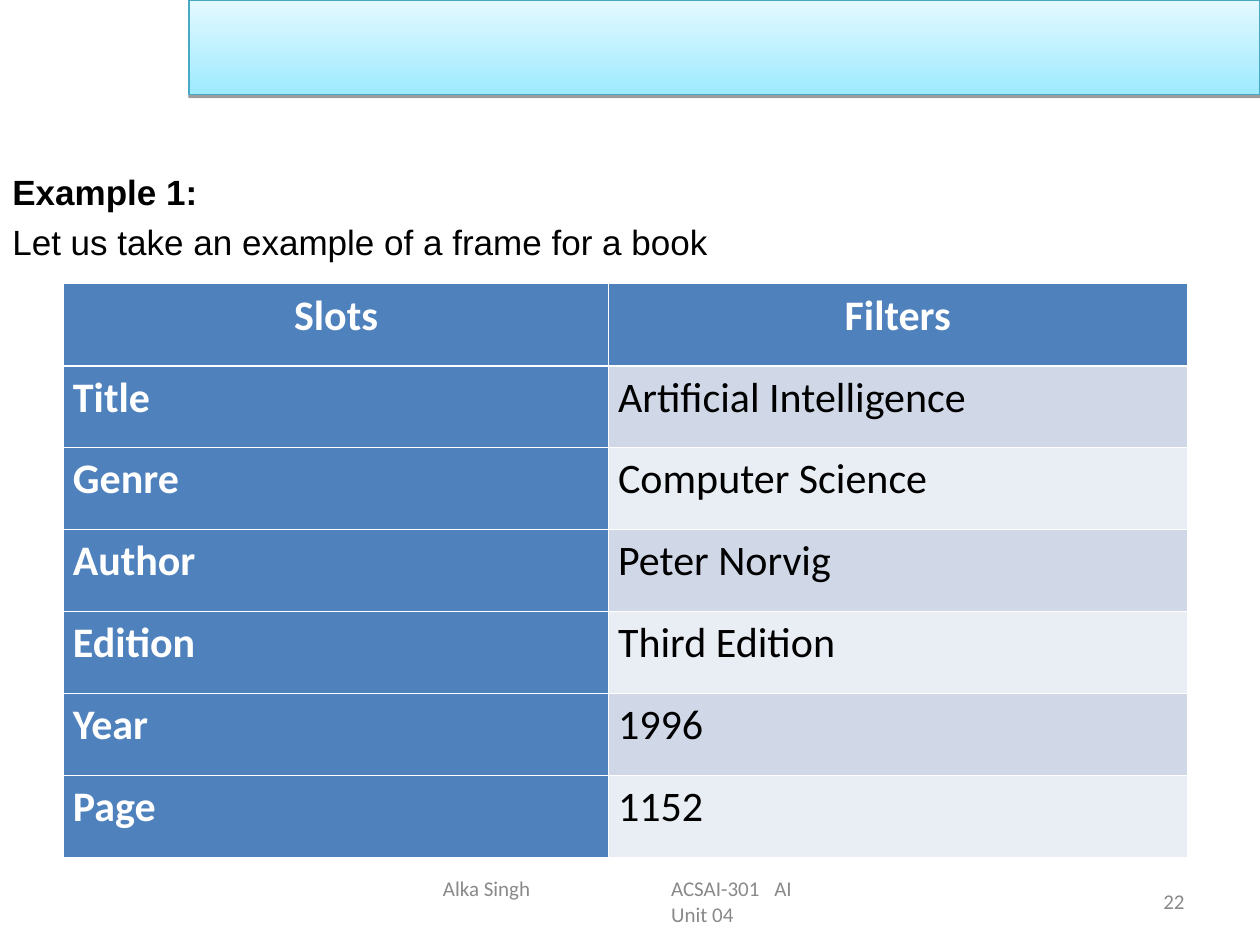
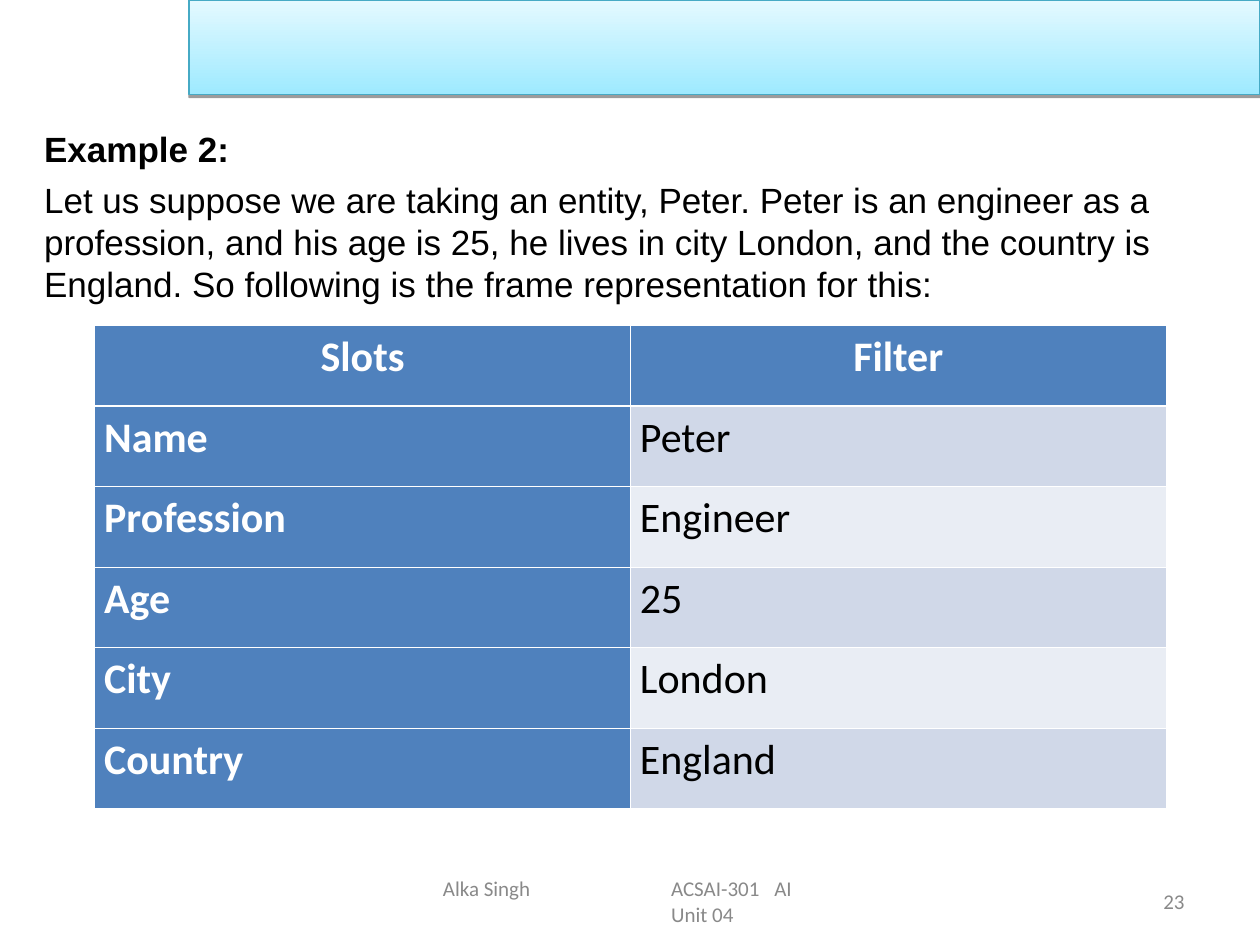
from dataclasses import dataclass

from lxml import etree
from pptx import Presentation
from pptx import util as u
from pptx.dml.color import RGBColor
from pptx.enum import shapes, text
from pptx.oxml import ns

Cm, Pt = u.Cm, u.Pt
Align, Anchor = text.PP_ALIGN, text.MSO_ANCHOR


@dataclass(frozen=True)
class Theme:
    white: str = "FFFFFF"
    black: str = "000000"
    gray: str = "898989"
    blue: str = "4F81BD"
    bands: tuple = ("D0D8E8", "E9EDF4")
    sky: tuple = ("9EEAFF", "E4F9FF")
    edge: str = "46AAC5"
    prose: str = "Arial"
    sans: str = "Calibri"
    body: int = 20
    grid: int = 24
    foot: int = 12
    thin: float = 0.45
    thick: float = 1.47


T = Theme()


def rgb(code):
    return RGBColor.from_string(code)


def node(parent, tag, **attrs):
    return etree.SubElement(parent, ns.qn(tag), {k: str(v) for k, v in attrs.items()})


def add_run(par, words, font, size, color, bold=False):
    run = par.add_run()
    run.text = words
    run.font.name = font
    run.font.size = Pt(size)
    run.font.color.rgb = rgb(color)
    run.font.bold = bold


def add_text(slide, box, anchor=Anchor.TOP, top=0.13):
    frame = slide.shapes.add_textbox(*map(Cm, box)).text_frame
    frame.word_wrap = True
    frame.vertical_anchor = anchor
    frame.margin_left = frame.margin_right = Cm(0.25)
    frame.margin_top, frame.margin_bottom = Cm(top), Cm(0.13)
    return frame


def add_band(slide, box):
    band = slide.shapes.add_shape(shapes.MSO_SHAPE.RECTANGLE, *map(Cm, box))
    band.fill.gradient()
    band.fill.gradient_angle = 90
    for stop, code in zip(band.fill.gradient_stops, T.sky):
        stop.color.rgb = rgb(code)
    band.line.color.rgb = rgb(T.edge)
    band.line.width = Pt(0.75)
    band.shadow.inherit = False
    effects = band._element.spPr.find(ns.qn("a:effectLst"))
    shade = node(effects, "a:outerShdw", blurRad=0, dist=Pt(1.6), dir=5400000, rotWithShape=0)
    color = node(shade, "a:srgbClr", val=T.black)
    node(color, "a:alpha", val=38000)


def add_intro(slide, box, top, head, words):
    frame = add_text(slide, box, top=top)
    first, second = frame.paragraphs[0], frame.add_paragraph()
    second.space_before = Pt(5)
    for par, line in ((first, head), (second, words)):
        par.line_spacing = Pt(24)
        add_run(par, line, T.prose, T.body, T.black, par is first)


def add_edges(cell, row):
    props = cell._tc.get_or_add_tcPr()
    bold = {"T": row == 1, "B": row == 0}
    for side in "LRTB":
        width = T.thick if bold.get(side) else T.thin
        line = node(props, f"a:ln{side}", w=Pt(width))
        node(node(line, "a:solidFill"), "a:srgbClr", val=T.white)


def add_grid(slide, box, widths, rows):
    table = slide.shapes.add_table(len(rows), len(widths), *map(Cm, box)).table
    table.horz_banding = False
    for col, width in zip(table.columns, widths):
        col.width = Cm(width)
    for r, row in enumerate(rows):
        table.rows[r].height = Cm(box[3] / len(rows))
        for c, words in enumerate(row):
            cell = table.cell(r, c)
            strong = r == 0 or c == 0
            cell.margin_left = cell.margin_right = Cm(0.19)
            cell.margin_top = cell.margin_bottom = Cm(0.13)
            add_edges(cell, r)
            cell.fill.solid()
            cell.fill.fore_color.rgb = rgb(T.blue if strong else T.bands[(r - 1) % 2])
            par = cell.text_frame.paragraphs[0]
            par.alignment = Align.CENTER if r == 0 else Align.LEFT
            add_run(par, words, T.sans, T.grid, T.white if strong else T.black, strong)


def add_footer(slide, box, number):
    left, top, width, height = box
    par = add_text(slide, (left, top, 8.04, height), Anchor.MIDDLE).paragraphs[0]
    par.alignment = Align.LEFT
    tabs = node(par._p.get_or_add_pPr(), "a:tabLst")
    for stop in (4.6, 6.68):
        node(tabs, "a:tab", pos=Cm(stop), algn="l")
    add_run(par, "Alka Singh\tACSAI-301\tAI", T.sans, T.foot, T.gray)
    par.add_line_break()
    add_run(par, "\tUnit 04", T.sans, T.foot, T.gray)

    page = 5.93
    par = add_text(slide, (left + width - page, top, page, height), Anchor.MIDDLE).paragraphs[0]
    par.alignment = Align.RIGHT
    add_run(par, str(number), T.sans, T.foot, T.gray)


def add_frame(deck, number, intro, grid):
    slide = deck.slides.add_slide(deck.slide_layouts[6])
    add_band(slide, (3.81, 0, 21.59, 1.91))
    add_intro(slide, *intro)
    add_grid(slide, *grid)
    add_footer(slide, (8.68, 17.66, 15.45, 1.01), number)


def main():
    deck = Presentation()
    deck.slide_width, deck.slide_height = Cm(25.4), Cm(19.05)
    add_frame(
        deck, 22,
        ((0, 2.26, 25.4, 15.4), 1.17, "Example 1:",
         "Let us take an example of a frame for a book"),
        ((1.28, 5.72, 22.65, 11.57), (10.99, 11.66), (
            ("Slots", "Filters"),
            ("Title", "Artificial Intelligence"),
            ("Genre", "Computer Science"),
            ("Author", "Peter Norvig"),
            ("Edition", "Third Edition"),
            ("Year", "1996"),
            ("Page", "1152"))))
    add_frame(
        deck, 23,
        ((0.64, 2.12, 24.13, 14.6), 0.46, "Example 2:",
         "Let us suppose we are taking an entity, Peter. Peter is an engineer as a "
         "profession, and his age is 25, he lives in city London, and the country is "
         "England. So following is the frame representation for this:"),
        ((1.91, 6.56, 21.6, 9.74), (10.8, 10.8), (
            ("Slots", "Filter"),
            ("Name", "Peter"),
            ("Profession", "Engineer"),
            ("Age", "25"),
            ("City", "London"),
            ("Country", "England"))))
    deck.save("out.pptx")


if __name__ == "__main__":
    main()
